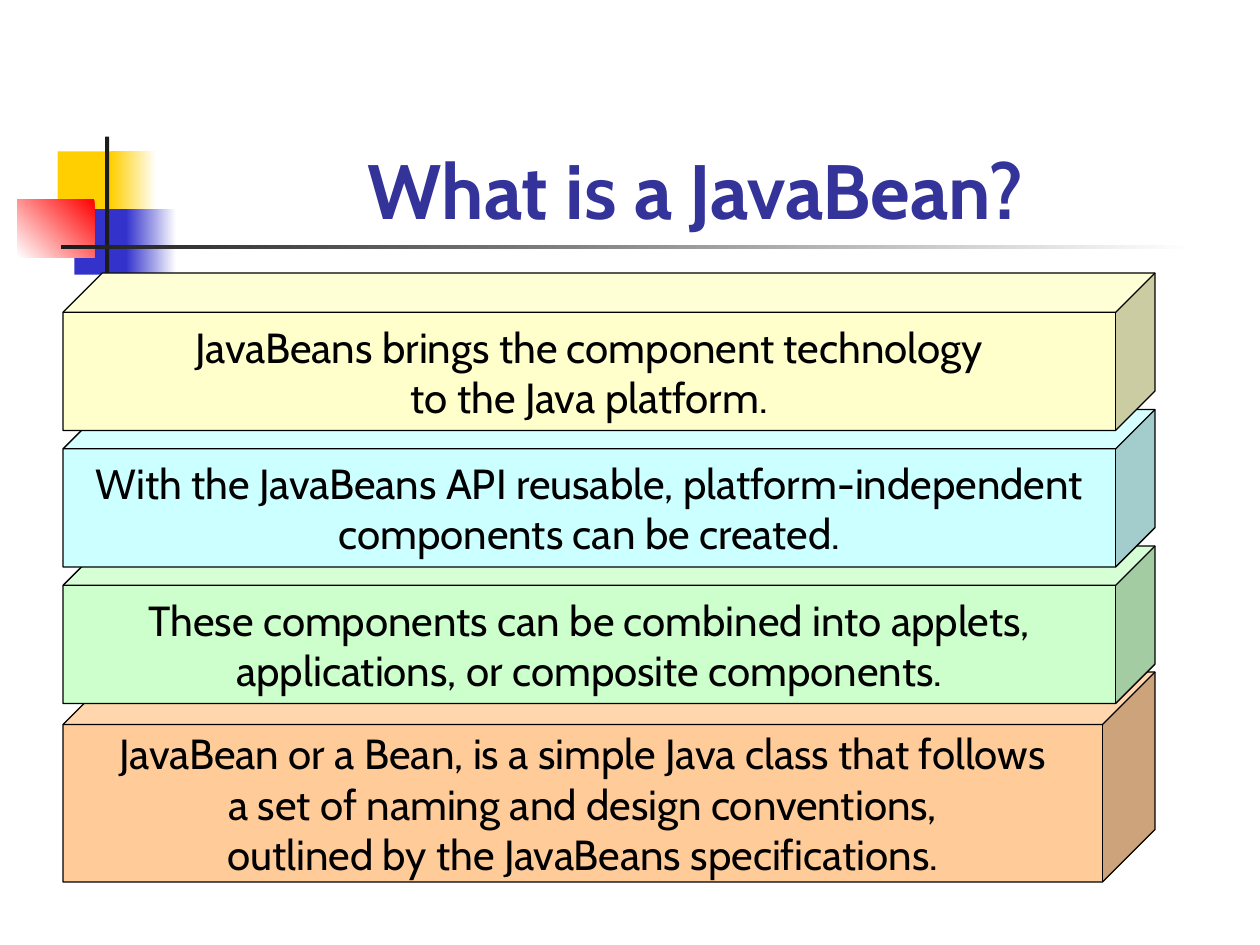
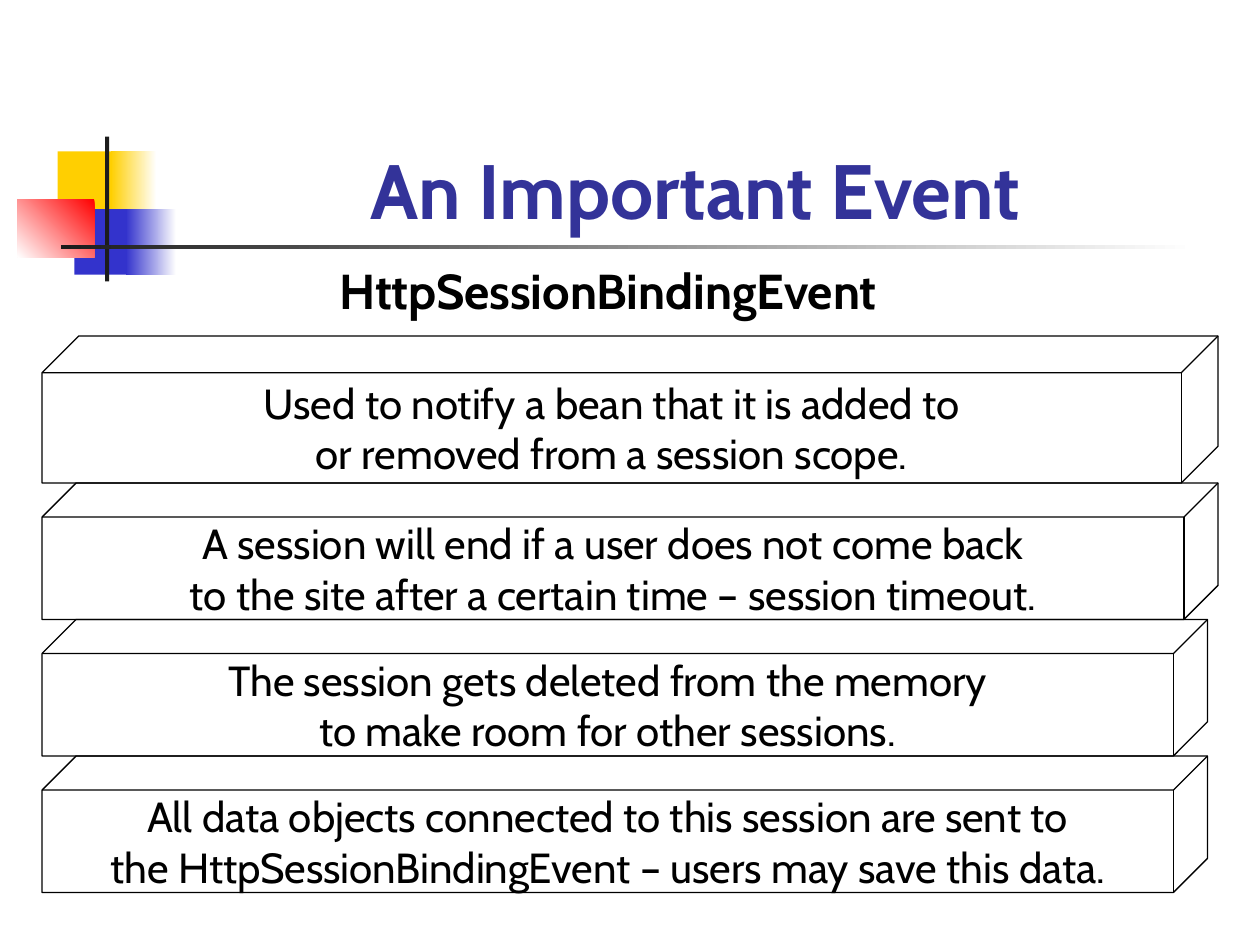
from dataclasses import dataclass
from pptx import Presentation
from pptx.dml.color import RGBColor
from pptx.enum.shapes import MSO_SHAPE as Shape
from pptx.enum.text import MSO_ANCHOR as Anchor, MSO_AUTO_SIZE as AutoSize, PP_ALIGN as Align
from pptx.util import Pt


@dataclass(frozen=True)
class Theme:
    font: str = "Cabin"
    title_size: int = 44
    heading_size: int = 28
    body_size: int = 24
    title: str = "333399"
    text: str = "000000"
    white: str = "FFFFFF"
    yellow: str = "FFCF01"
    blue: str = "3333CC"
    red: str = "FF0000"
    dark: str = "1C1C1C"
    cream: str = "FFFFCC"
    aqua: str = "CCFFFF"
    mint: str = "CCFFCC"
    peach: str = "FFCC99"


theme = Theme()


def add_block(slide, kind, left, top, width, height, colors, angle=180):
    shape = slide.shapes.add_shape(kind, Pt(left), Pt(top), Pt(width), Pt(height))
    shape.shadow.inherit = False
    shape.line.fill.background()
    if len(colors) == 2:
        shape.fill.gradient()
        shape.fill.gradient_angle = angle
        for stop, color in zip(shape.fill.gradient_stops, colors):
            stop.color.rgb = RGBColor.from_string(color)
    elif colors:
        shape.fill.solid()
        shape.fill.fore_color.rgb = RGBColor.from_string(colors[0])
    else:
        shape.fill.background()
    return shape


def write_text(text_frame, text, size, color, bold=False, align=Align.CENTER):
    text_frame.text = text
    for paragraph in text_frame.paragraphs:
        paragraph.alignment = align
        paragraph.font.name = theme.font
        paragraph.font.size = Pt(size)
        paragraph.font.bold = bold
        paragraph.font.color.rgb = RGBColor.from_string(color)


presentation = Presentation()
presentation.slide_width, presentation.slide_height = Pt(720), Pt(540)
layout = presentation.slide_layouts[5]

slides_content = [
    ("What is a JavaBean?", None, 36, [
        (384, 624, 120, [theme.peach],
         "JavaBean or a Bean, is a simple Java class that follows\n"
         "a set of naming and design conventions,\n"
         "outlined by the JavaBeans specifications."),
        (312, 624, 90, [theme.mint],
         "These components can be combined into applets,\n"
         "applications, or composite components."),
        (234, 624, 90, [theme.aqua],
         "With the JavaBeans API reusable, platform-independent\n"
         "components can be created."),
        (156, 624, 90, [theme.cream],
         "JavaBeans brings the component technology\nto the Java platform."),
    ]),
    ("An Important Event", "HttpSessionBindingEvent", 24, [
        (192, 672, 84, [],
         "Used to notify a bean that it is added to\nor removed from a session scope."),
        (276, 672, 78, [],
         "A session will end if a user does not come back\n"
         "to the site after a certain time – session timeout."),
        (354, 666, 78, [],
         "The session gets deleted from the memory\nto make room for other sessions."),
        (432, 666, 78, [],
         "All data objects connected to this session are sent to\n"
         "the HttpSessionBindingEvent – users may save this data."),
    ]),
]

slides = [presentation.slides.add_slide(layout) for content in slides_content]

emblem = [
    (33, 86.5, 34.5, 37.5, [theme.yellow], 0),
    (63.4, 86.5, 26, 37.5, [theme.white, theme.yellow], 180),
    (42.5, 119.5, 33, 37.5, [theme.blue], 0),
    (72, 119.5, 28.75, 37.5, [theme.white, theme.blue], 180),
    (10, 113.75, 44, 33.25, [theme.red, theme.white], 225),
    (60, 78, 2.4, 82.75, [theme.dark], 0),
    (34.75, 140.1, 648, 2.5, [theme.white, theme.dark], 180),
]
for left, top, width, height, colors, angle in emblem:
    block = add_block(slides[0], Shape.RECTANGLE, left, top, width, height, colors, angle)
    layout.shapes.element.append(block.element)

for slide, (title_text, heading_text, cube_left, cubes) in zip(slides, slides_content):
    title = slide.shapes.title
    title.left, title.top, title.width, title.height = Pt(90.75), Pt(48), Pt(613.5), Pt(90)
    title.text_frame.vertical_anchor = Anchor.BOTTOM
    title.text_frame.auto_size = AutoSize.NONE
    write_text(title.text_frame, title_text, theme.title_size, theme.title, bold=True)

    if heading_text:
        heading = slide.shapes.add_textbox(Pt(187), Pt(145.5), Pt(368), Pt(41))
        heading.text_frame.word_wrap = False
        heading.text_frame.auto_size = AutoSize.SHAPE_TO_FIT_TEXT
        write_text(heading.text_frame, heading_text, theme.heading_size, theme.text,
                   bold=True, align=Align.LEFT)

    for top, width, height, colors, text in cubes:
        cube = add_block(slide, Shape.CUBE, cube_left, top, width, height, colors)
        cube.adjustments[0] = 0.25
        cube.line.color.rgb = RGBColor.from_string(theme.text)
        cube.line.width = Pt(0.75)
        cube.text_frame.word_wrap = False
        cube.text_frame.vertical_anchor = Anchor.MIDDLE
        write_text(cube.text_frame, text, theme.body_size, theme.text)

presentation.save("out.pptx")
